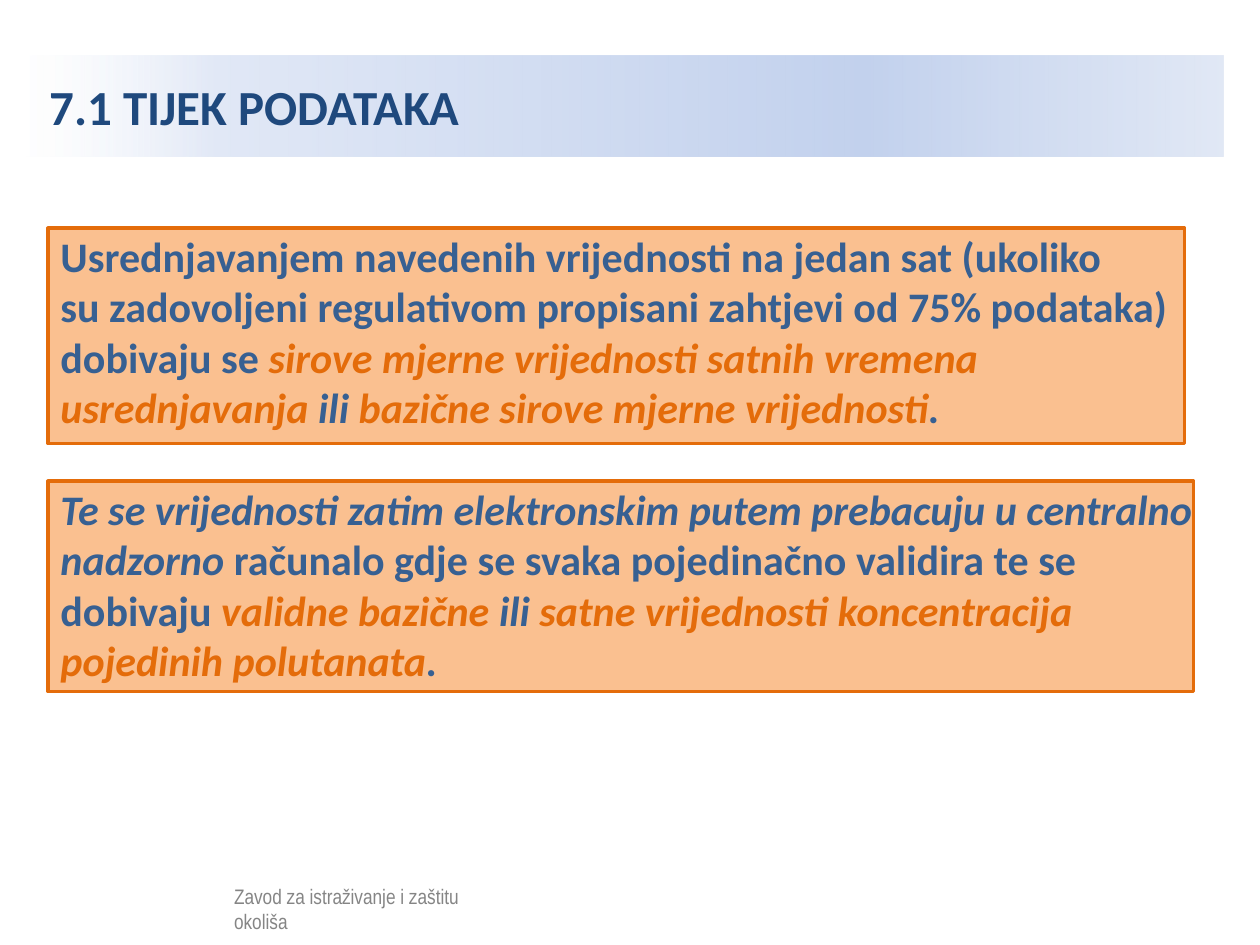
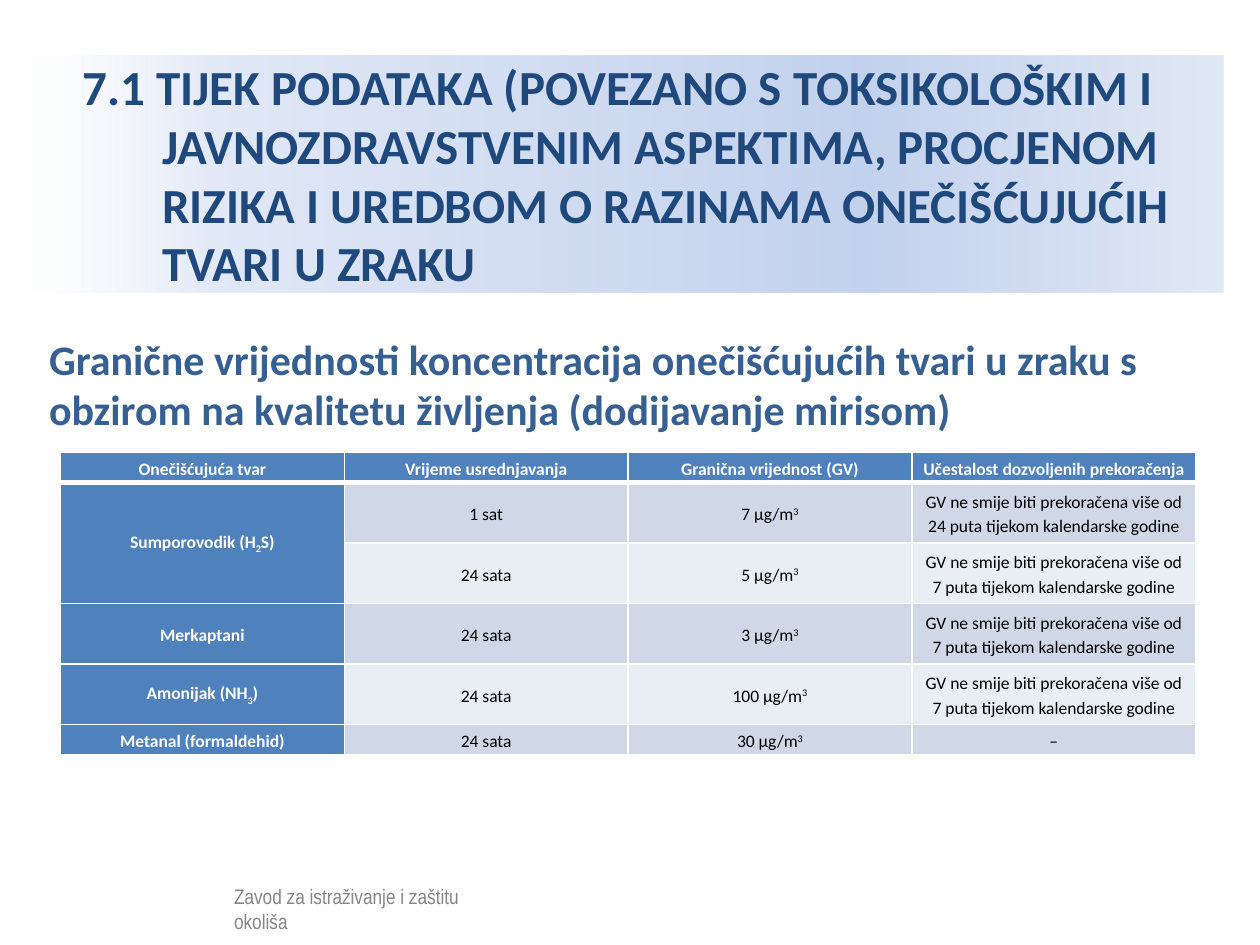
from lxml.etree import SubElement
from pptx import Presentation
from pptx.dml.color import RGBColor
from pptx.enum.shapes import MSO_SHAPE
from pptx.enum.text import MSO_ANCHOR, PP_ALIGN
from pptx.oxml.ns import qn
from pptx.util import Cm, Pt

WHITE, BLACK = "FFFFFF", "000000"
NAVY, BLUE, ORANGE, PEACH = "1F497D", "376092", "E46C0A", "FAC090"
HEADER, BANDS = "4F81BD", ("D0D8E8", "E9EDF4")
TITLE_STOPS = ((0, WHITE, 52), (16, "E1E8F6", 100), (70, "C2D1ED", 100), (100, "E1E8F5", 100))
FOOTER = "Zavod za istraživanje i zaštitu okoliša"

AVERAGING = [
    [("Usrednjavanjem navedenih vrijednosti na jedan sat (ukoliko", {})],
    [("su zadovoljeni regulativom propisani zahtjevi od 75% podataka) dobivaju se ", {}),
     ("sirove mjerne vrijednosti satnih vremena usrednjavanja ", {"color": ORANGE, "italic": True}),
     ("ili", {"italic": True}),
     (" bazične sirove mjerne vrijednosti", {"color": ORANGE, "italic": True}),
     (".", {"italic": True})],
    [("Te se vrijednosti zatim elektronskim putem prebacuju u centralno nadzorno ", {"italic": True}),
     ("računalo gdje se svaka pojedinačno validira te se dobivaju ", {}),
     ("validne bazične ", {"color": ORANGE, "italic": True}),
     ("ili ", {"italic": True}),
     ("satne vrijednosti koncentracija pojedinih polutanata", {"color": ORANGE, "italic": True}),
     (".", {"italic": True})],
]

SUB, SUPER = {"baseline": -25}, {"baseline": 30}


def limit(value):
    """Return the runs of a limit value in micrograms per cubic metre."""
    return [(f"{value} µg/m", {}), ("3", SUPER)]


def exceedance(times):
    """Return the runs that state how often a limit may be exceeded."""
    return [(f"GV ne smije biti prekoračena više od {times} puta tijekom kalendarske godine", {})]


def plain(text):
    """Return one run without its own style."""
    return [(text, {})]


LIMITS = [
    [plain(name) for name in ("Onečišćujuća tvar", "Vrijeme usrednjavanja",
                              "Granična vrijednost (GV)", "Učestalost dozvoljenih prekoračenja")],
    [[("Sumporovodik (H", {}), ("2", SUB), ("S)", {})], plain("1 sat"), limit(7), exceedance(24)],
    [None, plain("24 sata"), limit(5), exceedance(7)],
    [plain("Merkaptani"), plain("24 sata"), limit(3), exceedance(7)],
    [[("Amonijak (NH", {}), ("3", SUB), (")", {})], plain("24 sata"), limit(100), exceedance(7)],
    [plain("Metanal (formaldehid)"), plain("24 sata"), limit(30), plain("–")],
]


def rgb(code):
    """Turn a hex string into a colour."""
    return RGBColor.from_string(code)


def add_colour(parent, code, opacity=100):
    """Append a colour element with the given opacity in percent."""
    colour = SubElement(parent, qn("a:srgbClr"), val=code)
    if opacity < 100:
        SubElement(colour, qn("a:alpha"), val=str(opacity * 1000))


class SlideBuilder:
    """Holds the deck, its style and the current slide."""

    def __init__(self):
        """Start an empty deck of 10 by 7.5 inches."""
        self.deck = Presentation()
        self.deck.slide_width, self.deck.slide_height = Cm(25.4), Cm(19.05)
        self.page = None

    def new_page(self, title, title_height, first_indent):
        """Add a slide with its title band and footer."""
        self.page = self.deck.slides.add_slide(self.deck.slide_layouts[6])
        self.title_band(title, title_height, first_indent)
        self.footer()

    def rectangle(self, shapes, left, top, width, height, fill=WHITE, line=None):
        """Add a flat rectangle."""
        box = shapes.add_shape(MSO_SHAPE.RECTANGLE, Cm(left), Cm(top), Cm(width), Cm(height))
        box.shadow.inherit = False
        box.fill.solid()
        box.fill.fore_color.rgb = rgb(fill)
        if line:
            box.line.color.rgb = rgb(line)
            box.line.width = Pt(2)
        else:
            box.line.fill.background()
        return box

    def fill_paragraph(self, para, runs, size, color, bold=False, font="Calibri", align=PP_ALIGN.LEFT):
        """Fill a paragraph with runs that may differ in colour, slant or baseline."""
        para.alignment = align
        para.font.name, para.font.size, para.font.bold = font, Pt(size), bold
        para.font.color.rgb = rgb(color)
        for text, style in runs:
            span = para.add_run()
            span.text = text
            if "color" in style:
                span.font.color.rgb = rgb(style["color"])
            if "italic" in style:
                span.font.italic = True
            if "baseline" in style:
                span.font._element.set("baseline", str(style["baseline"] * 1000))

    def text(self, shapes, left, top, width, height, paragraphs, **style):
        """Add a wrapping text box and return its paragraphs."""
        box = shapes.add_textbox(Cm(left), Cm(top), Cm(width), Cm(height))
        frame = box.text_frame
        frame.word_wrap = True
        for index, runs in enumerate(paragraphs):
            para = frame.add_paragraph() if index else frame.paragraphs[0]
            self.fill_paragraph(para, runs, **style)
        return frame.paragraphs

    def title_band(self, title, height, first_indent):
        """Add the gradient band with a hanging title."""
        band = self.rectangle(self.page.shapes, 0.53, 1.12, 24.13, height)
        band.fill.gradient()
        band.fill.gradient_angle = 0
        stops = band._element.spPr.find(qn("a:gradFill")).find(qn("a:gsLst"))
        for stop in list(stops):
            stops.remove(stop)
        for position, code, opacity in TITLE_STOPS:
            add_colour(SubElement(stops, qn("a:gs"), pos=str(position * 1000)), code, opacity)
        frame = band.text_frame
        frame.word_wrap = True
        frame.vertical_anchor = MSO_ANCHOR.MIDDLE
        para = frame.paragraphs[0]
        properties = para._p.get_or_add_pPr()
        properties.set("marL", str(Cm(2.49)))
        properties.set("indent", str(Cm(first_indent)))
        self.fill_paragraph(para, plain(title), 28, NAVY, bold=True)

    def footer(self):
        """Add the institute name under a translucent veil."""
        shapes = self.page.shapes.add_group_shape().shapes
        self.text(shapes, 4.47, 17.68, 5.31, 0.64, [plain(FOOTER)],
                  size=12, color=BLACK, font="Arial Narrow")
        veil = self.rectangle(shapes, 1.04, 17.6, 9.7, 1.22)
        solid = veil._element.spPr.find(qn("a:solidFill"))
        solid.remove(solid[0])
        add_colour(solid, WHITE, 52)

    def borders(self, cell, top, bottom):
        """Draw white cell borders, with widths in points."""
        properties = cell._tc.get_or_add_tcPr()
        for side, width in (("L", 1), ("R", 1), ("T", top), ("B", bottom)):
            line = SubElement(properties, qn(f"a:ln{side}"), w=str(Pt(width)))
            add_colour(SubElement(line, qn("a:solidFill")), WHITE)

    def table(self, left, top, column_width, row_heights, rows):
        """Add a table with a coloured first row and first column."""
        columns = len(rows[0])
        table = self.page.shapes.add_table(len(rows), columns, Cm(left), Cm(top),
                                           Cm(column_width * columns), Cm(sum(row_heights))).table
        for column in table.columns:
            column.width = Cm(column_width)
        for row_index, (row, height) in enumerate(zip(rows, row_heights)):
            table.rows[row_index].height = Cm(height)
            for column_index, runs in enumerate(row):
                cell = table.cell(row_index, column_index)
                heading = row_index == 0 or column_index == 0
                self.borders(cell, 3 if row_index == 1 else 1, 3 if row_index == 0 else 1)
                cell.fill.solid()
                cell.fill.fore_color.rgb = rgb(HEADER if heading else BANDS[(row_index - 1) % 2])
                cell.margin_left = cell.margin_right = Cm(0.18)
                cell.margin_top = cell.margin_bottom = 0
                cell.vertical_anchor = MSO_ANCHOR.MIDDLE
                if runs:
                    para = cell.text_frame.paragraphs[0]
                    para.line_spacing = Pt(14)
                    self.fill_paragraph(para, runs, 10, WHITE if heading else BLACK,
                                        bold=heading, align=PP_ALIGN.CENTER)
        return table


def main():
    """Build both slides and save the deck."""
    builder = SlideBuilder()

    builder.new_page("7.1 TIJEK PODATAKA", 2.03, -2.27)
    shapes = builder.page.shapes
    builder.rectangle(shapes, 0.97, 4.6, 22.91, 4.34, PEACH, ORANGE)
    builder.rectangle(shapes, 0.97, 9.7, 23.09, 4.24, PEACH, ORANGE)
    paragraphs = builder.text(shapes, 0.97, 4.52, 23.57, 9.5, AVERAGING,
                              size=24, color=BLUE, bold=True)
    paragraphs[-1].space_before = Pt(29.3)

    builder.new_page("7.1 TIJEK PODATAKA (POVEZANO S TOKSIKOLOŠKIM I JAVNOZDRAVSTVENIM ASPEKTIMA, "
                     "PROCJENOM RIZIKA I UREDBOM O RAZINAMA ONEČIŠĆUJUĆIH TVARI U ZRAKU", 4.78, -1.6)
    builder.text(builder.page.shapes, 0.74, 6.6, 23.95, 2.31,
                 [plain("Granične vrijednosti koncentracija onečišćujućih tvari u zraku s obzirom "
                        "na kvalitetu življenja (dodijavanje mirisom)")],
                 size=24, color=BLUE, bold=True)
    limits = builder.table(1.22, 9.12, 5.72, [0.61, 1.22, 1.22, 1.22, 1.22, 0.61], LIMITS)
    limits.cell(1, 0).merge(limits.cell(2, 0))

    builder.deck.save("out.pptx")


if __name__ == "__main__":
    main()
